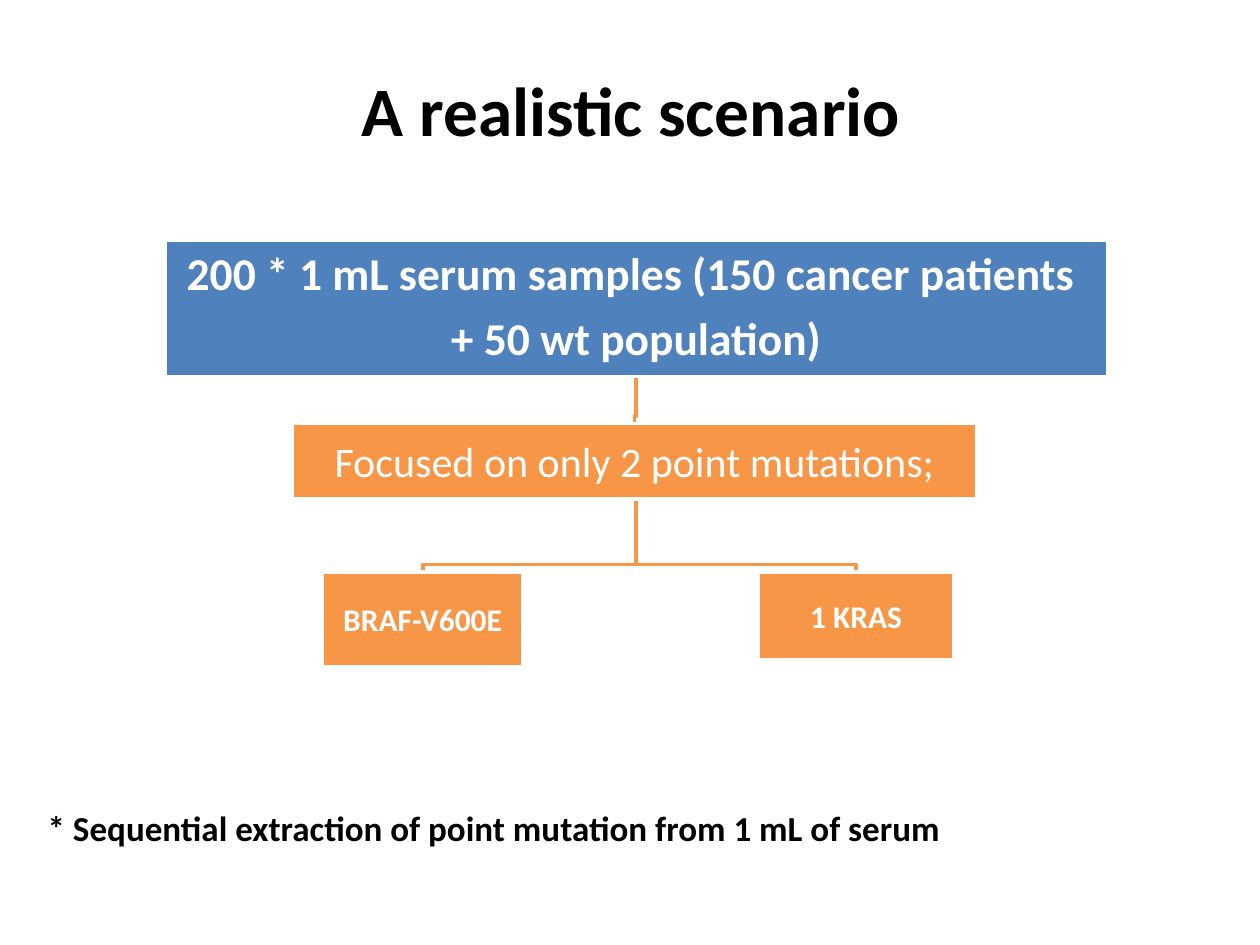
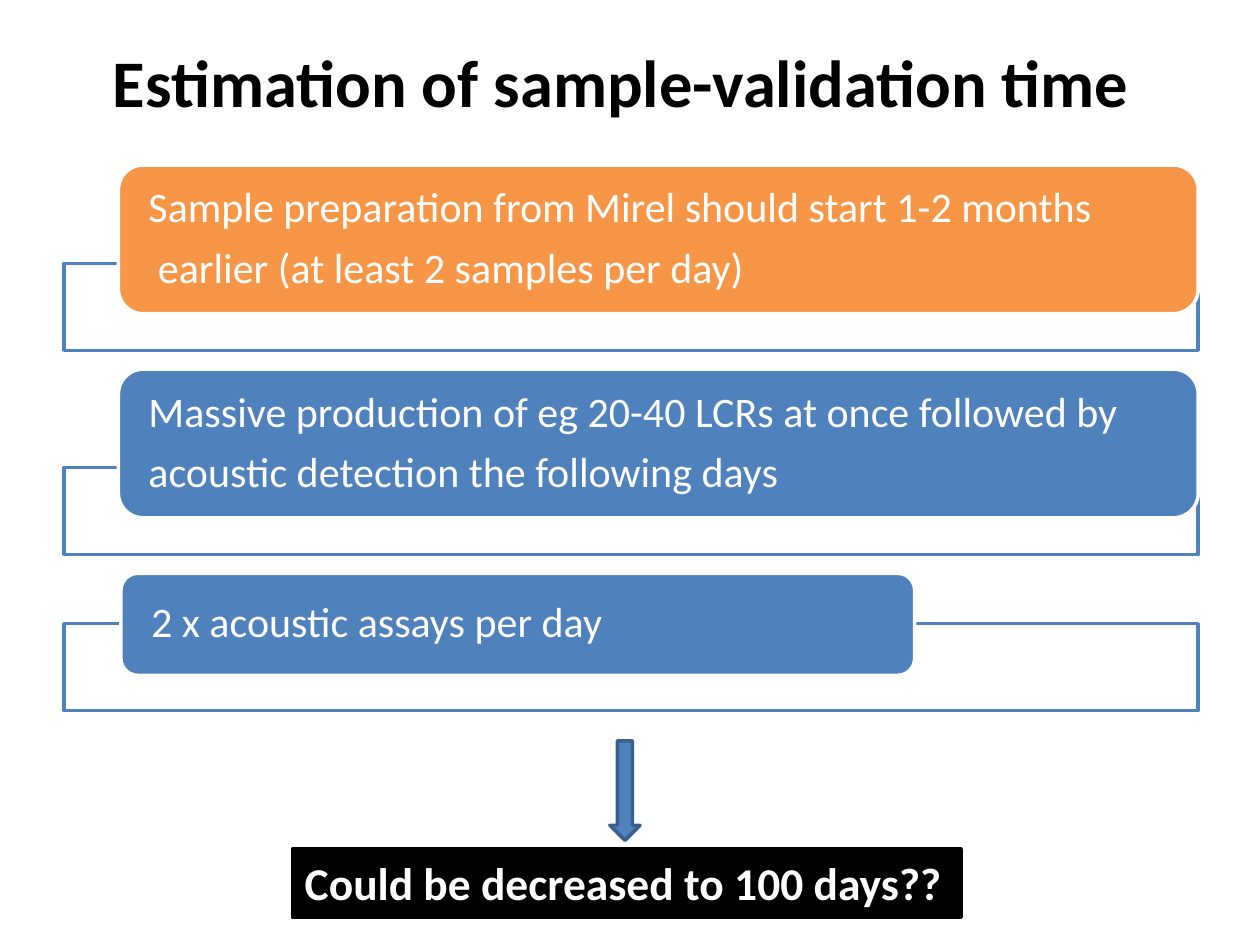
from lxml import etree
from pptx import Presentation
from pptx.dml.color import RGBColor
from pptx.enum.shapes import MSO_SHAPE
from pptx.enum.text import MSO_ANCHOR, PP_ALIGN
from pptx.oxml.ns import qn
from pptx.util import Inches, Pt

BLUE = RGBColor(0x4F, 0x81, 0xBD)
DARK_BLUE = RGBColor(0x3A, 0x5F, 0x8C)
ORANGE = RGBColor(0xF7, 0x96, 0x46)
WHITE = RGBColor(0xFF, 0xFF, 0xFF)
BLACK = RGBColor(0, 0, 0)
FONT = "Calibri"
LINE_WIDTH = Pt(2)
TITLE_FORMAT = {"bold": True, "align": PP_ALIGN.CENTER}


def set_attributes(target, values):
    """Set each attribute of the target from a dict."""
    for name, value in values.items():
        setattr(target, name, value)


def write_text(sp, lines, size, color=WHITE, bold=False, align=PP_ALIGN.LEFT,
               anchor=MSO_ANCHOR.MIDDLE, inset=(0.1, 0.05), wrap=True, tight=False):
    """Write one paragraph per line, tightly leaded and set apart if asked."""
    tf = sp.text_frame
    across, down = map(Inches, inset)
    set_attributes(tf, {"word_wrap": wrap, "vertical_anchor": anchor,
                        "margin_left": across, "margin_right": across,
                        "margin_top": down, "margin_bottom": down})
    for i, line in enumerate(lines):
        p = tf.paragraphs[0] if i == 0 else tf.add_paragraph()
        p.alignment = align
        if tight:
            p.line_spacing = 0.9
            p.space_after = Pt(0.35 * size if i < len(lines) - 1 else 0)
        r = p.add_run()
        r.text = line
        set_attributes(r.font, {"name": FONT, "size": Pt(size), "bold": bold})
        r.font.color.rgb = color


def add_text(s, box, lines, size, **formats):
    """Add a text box holding black text unless told otherwise."""
    sp = s.shapes.add_textbox(*map(Inches, box))
    write_text(sp, lines, size, **{"color": BLACK, **formats})


def add_block(s, kind, box, fill, line=WHITE):
    """Add a filled and outlined preset shape."""
    sp = s.shapes.add_shape(kind, *map(Inches, box))
    sp.shadow.inherit = False
    sp.fill.solid()
    sp.fill.fore_color.rgb = fill
    sp.line.color.rgb = line
    sp.line.width = LINE_WIDTH
    return sp


def add_branch(s, trunk, parent, child):
    """Draw a bent line from the parent's bottom at the trunk to the child's top."""
    end, top = child[0] + child[2] / 2, child[1]
    bend = top - 0.06
    start, *points = [(Inches(x), Inches(y)) for x, y in (
        (trunk, parent[1] + parent[3]), (trunk, bend), (end, bend), (end, top))]
    builder = s.shapes.build_freeform(*start)
    builder.add_line_segments(points, close=False)
    sp = builder.convert_to_shape()
    sp.shadow.inherit = False
    sp.fill.background()
    sp.line.color.rgb = ORANGE
    sp.line.width = LINE_WIDTH


def add_hierarchy(s, box):
    """Draw the samples, their focus and the two mutations as a tree."""
    x, y, w, _ = box
    samples = (x, y, w, 1.08)
    focus = (x + 1.01, y + 1.45, 5.43, 0.6)
    kras = (x + 4.71, y + 2.63, 1.55, 0.7)
    braf = (x + 1.25, y + 2.63, 1.59, 0.75)
    for parent, child in ((focus, braf), (focus, kras), (samples, focus)):
        add_branch(s, x + w / 2, parent, child)
    nodes = (
        (samples, BLUE, 26, True, 0.02,
         ["200 * 1 mL serum samples (150 cancer patients ", "+ 50 wt population)"]),
        (focus, ORANGE, 24, False, 0.02, ["Focused on only 2 point mutations;"]),
        (kras, ORANGE, 18, True, 0.01, ["1 KRAS"]),
        (braf, ORANGE, 18, True, 0.01, ["BRAF-V600E"]),
    )
    for node, fill, size, bold, inset, lines in nodes:
        sp = add_block(s, MSO_SHAPE.RECTANGLE, node, fill)
        write_text(sp, lines, size, bold=bold, align=PP_ALIGN.CENTER,
                   inset=(inset, inset), tight=len(lines) > 1)


def add_step(s, box, label_box, fill, lines):
    """Draw an outlined frame with a rounded label over its top edge."""
    x, y, _, _ = box
    dx, dy, w, h = label_box
    frame = add_block(s, MSO_SHAPE.RECTANGLE, box, WHITE, BLUE)
    color = frame.fill._xPr.find(qn("a:solidFill"))[0]
    etree.SubElement(color, qn("a:alpha")).set("val", "90000")
    label = add_block(s, MSO_SHAPE.ROUNDED_RECTANGLE, (x + dx, y + dy, w, h), fill)
    write_text(label, lines, 24, inset=(0.24 - 0.05 * h, 0), tight=True)


def add_conclusion(s, box):
    """Draw the arrow and the black banner beneath it."""
    x, y, w, _ = box
    add_block(s, MSO_SHAPE.DOWN_ARROW, (x + 2.52, y, 0.24, 0.79), BLUE, DARK_BLUE)
    banner = add_block(s, MSO_SHAPE.RECTANGLE, (x, y + 0.86, w, 0.54), BLACK, BLACK)
    write_text(banner, ["Could be decreased to 100 days??"], 26, bold=True,
               anchor=MSO_ANCHOR.TOP, wrap=False)


def build_scenario(s):
    """Build the scenario slide."""
    add_text(s, (0.51, 0.52, 9, 0.69), ["A realistic scenario"], 39.6, **TITLE_FORMAT)
    add_hierarchy(s, (1.31, 1.91, 7.48, 3.38))
    add_text(s, (0.28, 6.35, 7.64, 0.44),
             ["* Sequential extraction of point mutation from 1 mL of serum"],
             20, bold=True, anchor=MSO_ANCHOR.TOP)


def build_estimation(s):
    """Build the time estimation slide."""
    add_text(s, (0.43, 0.13, 9, 1.02), ["Estimation of sample-validation time"],
             38, **TITLE_FORMAT)
    wide = (0.43, -0.78, 8.57, 1.18)
    steps = (
        (2.09, wide, ORANGE, ["Sample preparation from Mirel should start 1-2 months",
                              " earlier (at least 2 samples per day)"]),
        (3.71, wide, BLUE, ["Massive production of eg 20-40 LCRs at once followed by",
                            "acoustic detection the following days"]),
        (4.95, (0.45, -0.4, 6.3, 0.81), BLUE, ["2 x acoustic assays per day"]),
    )
    for top, label_box, fill, lines in steps:
        add_step(s, (0.51, top, 9, 0.69), label_box, fill, lines)
    add_conclusion(s, (2.32, 5.88, 5.31, 1.4))


def main():
    """Build and save the presentation."""
    prs = Presentation()
    prs.slide_width, prs.slide_height = Inches(10), Inches(7.5)
    for build in (build_scenario, build_estimation):
        build(prs.slides.add_slide(prs.slide_layouts[6]))
    prs.save("out.pptx")


if __name__ == "__main__":
    main()
